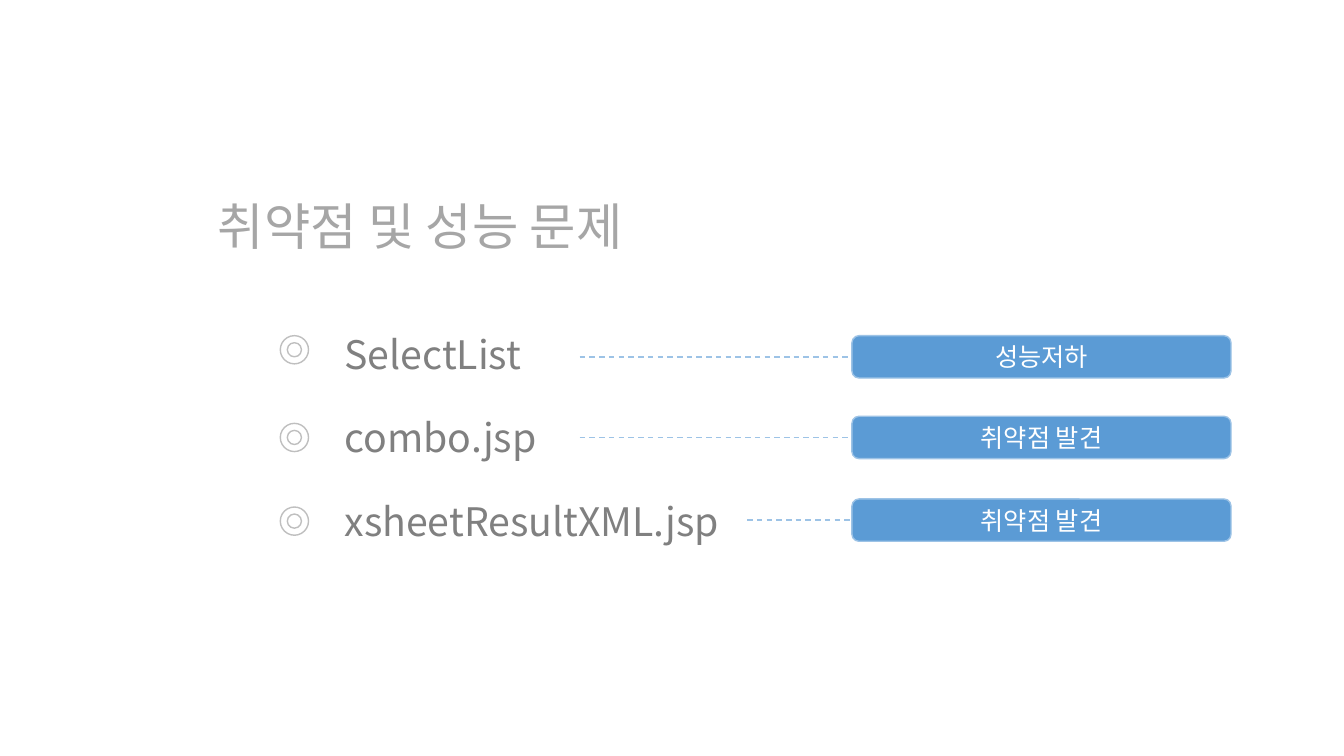
"""Build the slide listing weak points and performance problems by file."""
import pptx
import pptx.dml.color
import pptx.enum.dml
import pptx.enum.shapes
import pptx.enum.text
import pptx.oxml.ns
import pptx.util
from lxml import etree

Inches = pptx.util.Inches
Pt = pptx.util.Pt
RGBColor = pptx.dml.color.RGBColor
SHAPE = pptx.enum.shapes.MSO_SHAPE
ALIGN = pptx.enum.text.PP_ALIGN
ANCHOR = pptx.enum.text.MSO_ANCHOR

WHITE = RGBColor(0xFF, 0xFF, 0xFF)
TITLE_GREY = RGBColor(0xA6, 0xA6, 0xA6)
FILE_GREY = RGBColor(0x80, 0x80, 0x80)
RING_GREY = RGBColor(0xBF, 0xBF, 0xBF)
BLUE = RGBColor(0x5B, 0x9B, 0xD5)
LIGHT_BLUE = RGBColor(0x9D, 0xC3, 0xE6)
KOREAN_FONT = "Noto Sans CJK KR"


def write(shape, text, align, anchor, **font_format):
    frame = shape.text_frame
    frame.word_wrap = True
    frame.vertical_anchor = anchor
    paragraph = frame.paragraphs[0]
    paragraph.alignment = align
    run = paragraph.add_run()
    run.text = text
    for key, value in font_format.items():
        if key == "color":
            run.font.color.rgb = value
        else:
            setattr(run.font, key, value)
    east_asian = etree.SubElement(run.font._element, pptx.oxml.ns.qn("a:ea"))
    east_asian.set("typeface", KOREAN_FONT)


def add_outlined(kind, left, top, width, height, fill, outline):
    shape = slide.shapes.add_shape(kind, Inches(left), Inches(top), Inches(width), Inches(height))
    shape.shadow.inherit = False
    shape.fill.solid()
    shape.fill.fore_color.rgb = fill
    shape.line.color.rgb = outline
    shape.line.width = Pt(1)
    return shape


deck = pptx.Presentation()
deck.slide_width = Inches(13.33)
deck.slide_height = Inches(7.5)
slide = deck.slides.add_slide(deck.slide_layouts[5])

title = slide.shapes.title
title.left, title.top = Inches(2.06), Inches(1.88)
title.width, title.height = Inches(4.25), Inches(1.31)
write(title, "취약점 및 성능 문제", ALIGN.LEFT, ANCHOR.TOP,
      name="Noto Sans", size=Pt(36), color=TITLE_GREY)
title.text_frame.paragraphs[0].line_spacing = Pt(43.5)

findings = [
    ("SelectList", "성능저하", 3.23, 3.33, 3.33, 5.75),
    ("combo.jsp", "취약점 발견", 4.05, 4.2, 4.13, 5.75),
    ("xsheetResultXML.jsp", "취약점 발견", 4.88, 5.03, 4.95, 7.41),
]
for file_name, result, name_top, ring_top, result_top, leader_left in findings:
    file_label = slide.shapes.add_textbox(Inches(3.32), Inches(name_top), Inches(4.08), Inches(0.57))
    write(file_label, file_name, ALIGN.LEFT, ANCHOR.TOP,
          name=KOREAN_FONT, size=Pt(28), color=FILE_GREY)

    add_outlined(SHAPE.DONUT, 2.78, ring_top, 0.28, 0.28, WHITE, RING_GREY)

    result_box = add_outlined(SHAPE.ROUNDED_RECTANGLE, 8.45, result_top, 3.76, 0.42, BLUE, LIGHT_BLUE)
    write(result_box, result, ALIGN.CENTER, ANCHOR.MIDDLE,
          name=KOREAN_FONT, size=Pt(18), color=WHITE)

    leader_y = Inches(result_top + 0.21)
    leader = slide.shapes.add_connector(pptx.enum.shapes.MSO_CONNECTOR.STRAIGHT,
                                        Inches(leader_left), leader_y, Inches(8.45), leader_y)
    leader.end_connect(result_box, 1)
    leader.line.color.rgb = LIGHT_BLUE
    leader.line.width = Pt(1)
    leader.line.dash_style = pptx.enum.dml.MSO_LINE.DASH
    etree.SubElement(leader._element.spPr, pptx.oxml.ns.qn("a:effectLst"))

deck.save("out.pptx")
